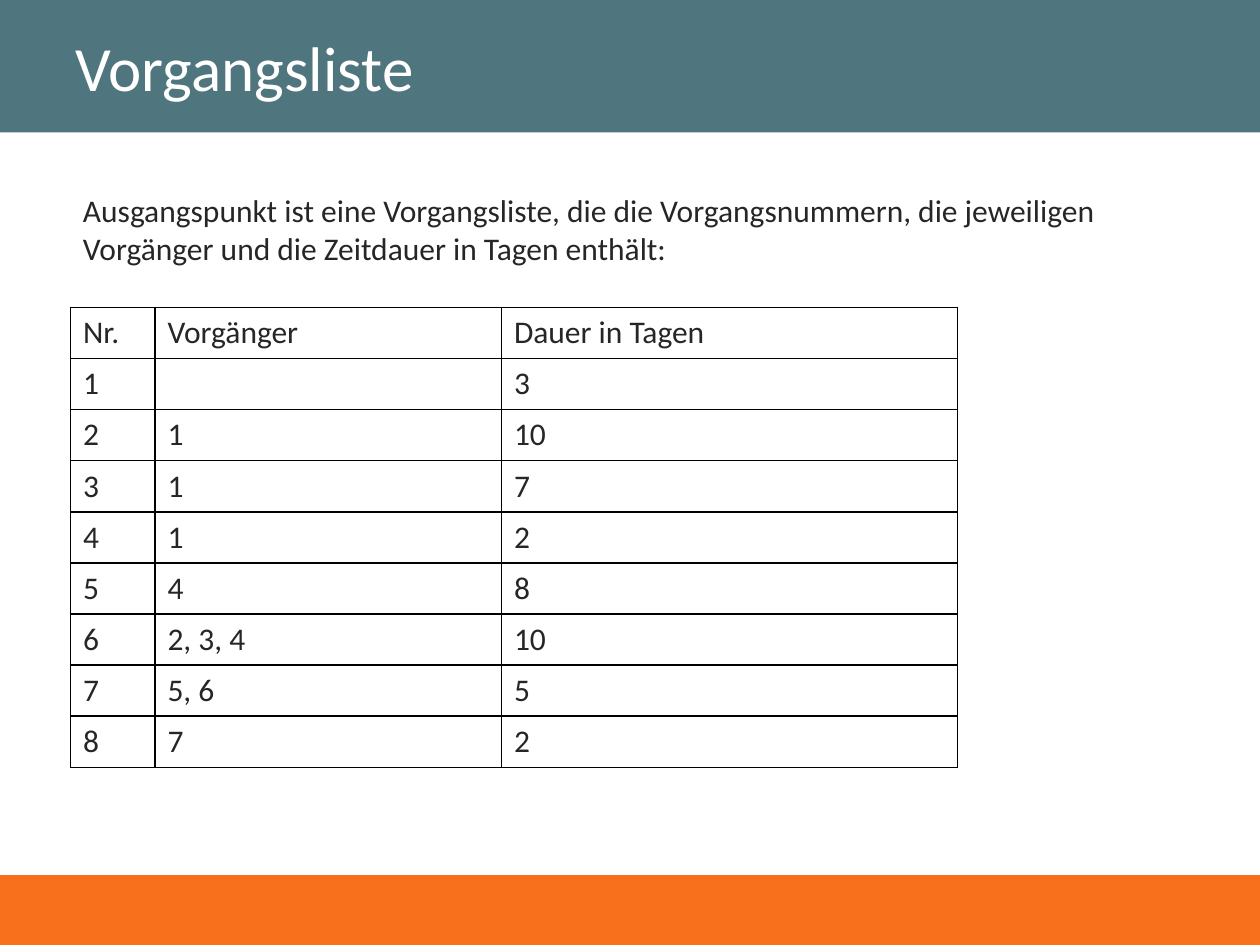
from lxml.etree import SubElement
from pptx import Presentation
from pptx.dml.color import RGBColor
from pptx.enum.shapes import MSO_SHAPE
from pptx.enum.text import MSO_ANCHOR, MSO_AUTO_SIZE, PP_ALIGN
from pptx.oxml.ns import qn
from pptx.util import Inches, Pt

FONT = "Calibri"
TEAL = RGBColor(0x4F, 0x76, 0x7E)
ORANGE = RGBColor(0xF9, 0x70, 0x1C)
WHITE = RGBColor(0xFF, 0xFF, 0xFF)
DARK = RGBColor(0x26, 0x26, 0x26)
BLACK = RGBColor(0x00, 0x00, 0x00)

COLUMN_WIDTHS = (0.67, 2.75, 3.62)
TABLE_HEIGHT = 3.65
ACTIVITIES = (
    ("Nr.", "Vorgänger", "Dauer in Tagen"),
    ("1", "", "3"),
    ("2", "1", "10"),
    ("3", "1", "7"),
    ("4", "1", "2"),
    ("5", "4", "8"),
    ("6", "2, 3, 4", "10"),
    ("7", "5, 6", "5"),
    ("8", "7", "2"),
)


def write_text(frame, text, size=18, color=DARK):
    paragraph = frame.paragraphs[0]
    paragraph.alignment = PP_ALIGN.LEFT
    if text:
        run = paragraph.add_run()
        run.text = text
        run.font.name = FONT
        run.font.size = Pt(size)
        run.font.color.rgb = color


def add_band(slide, top, height, color):
    band = slide.shapes.add_shape(
        MSO_SHAPE.RECTANGLE, 0, Inches(top), Inches(10), Inches(height))
    band.shadow.inherit = False
    band.fill.solid()
    band.fill.fore_color.rgb = color
    band.line.fill.background()
    return band


def add_borders(cell, color=BLACK, width=1):
    properties = cell._tc.get_or_add_tcPr()
    for side in ("a:lnL", "a:lnR", "a:lnT", "a:lnB"):
        border = SubElement(properties, qn(side), w=str(Pt(width)))
        fill = SubElement(border, qn("a:solidFill"))
        SubElement(fill, qn("a:srgbClr"), val=str(color))


def add_activity_table(slide, left, top):
    table = slide.shapes.add_table(
        len(ACTIVITIES), len(COLUMN_WIDTHS), Inches(left), Inches(top),
        Inches(sum(COLUMN_WIDTHS)), Inches(TABLE_HEIGHT)).table
    table.first_row = False
    table.horz_banding = False
    for column, width in zip(table.columns, COLUMN_WIDTHS):
        column.width = Inches(width)
    for row, values in zip(table.rows, ACTIVITIES):
        row.height = Inches(TABLE_HEIGHT / len(ACTIVITIES))
        for cell, value in zip(row.cells, values):
            # Borders come before the fill in the cell properties
            add_borders(cell)
            cell.fill.background()
            write_text(cell.text_frame, value)


def add_introduction(slide, text):
    introduction = slide.shapes.add_textbox(
        Inches(0.56), Inches(1.47), Inches(8.68), Inches(0.71))
    frame = introduction.text_frame
    frame.word_wrap = True
    frame.auto_size = MSO_AUTO_SIZE.SHAPE_TO_FIT_TEXT
    write_text(frame, text)


def main():
    presentation = Presentation()
    presentation.slide_width = Inches(10)
    presentation.slide_height = Inches(7.5)
    slide = presentation.slides.add_slide(presentation.slide_layouts[6])

    # Footer band
    footer = add_band(slide, 6.95, 0.55, ORANGE)
    footer.line.color.rgb = ORANGE
    footer.line.width = Pt(0.75)

    # Title band
    title = add_band(slide, 0, 1.05, TEAL).text_frame
    title.margin_left = Inches(0.6)
    title.vertical_anchor = MSO_ANCHOR.MIDDLE
    write_text(title, "Vorgangsliste", size=36, color=WHITE)

    # Activity list with its introduction
    add_activity_table(slide, 0.56, 2.44)
    add_introduction(
        slide,
        "Ausgangspunkt ist eine Vorgangsliste, die die Vorgangsnummern, "
        "die jeweiligen Vorgänger und die Zeitdauer in Tagen enthält:")

    presentation.save("out.pptx")


if __name__ == "__main__":
    main()
